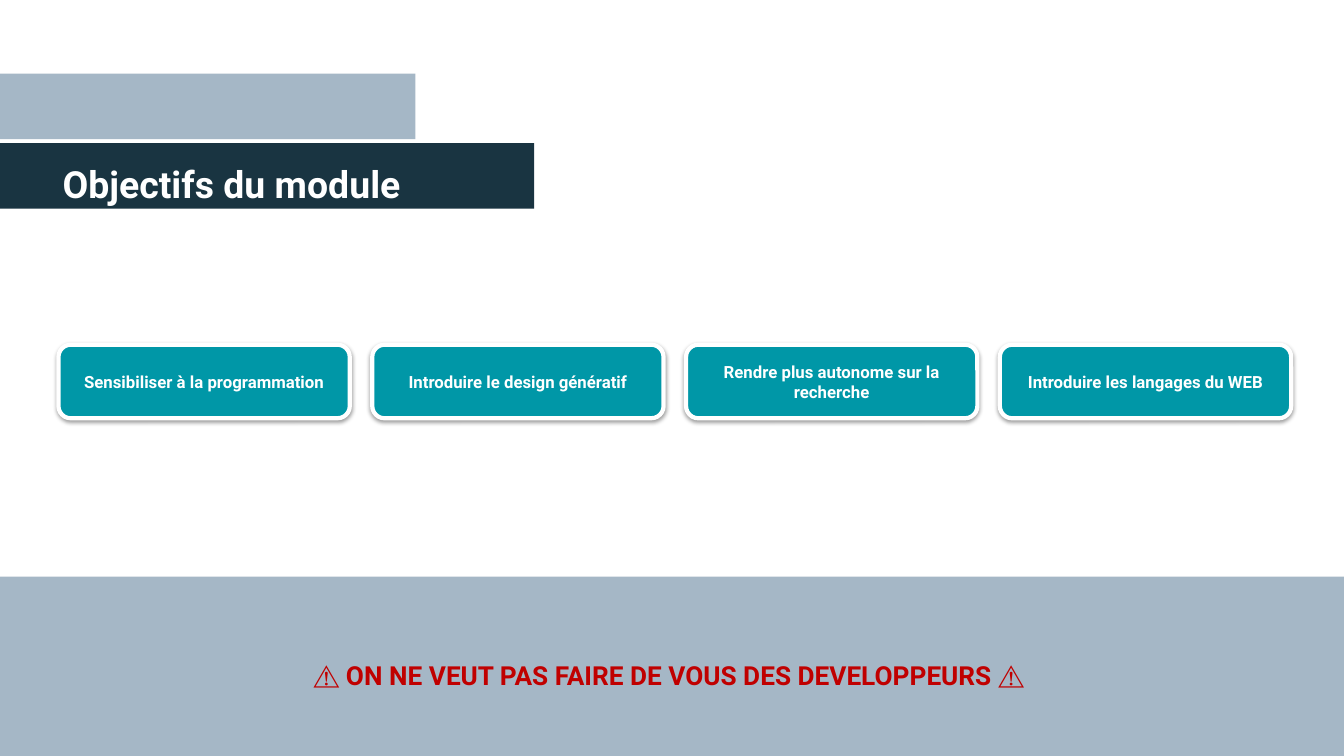
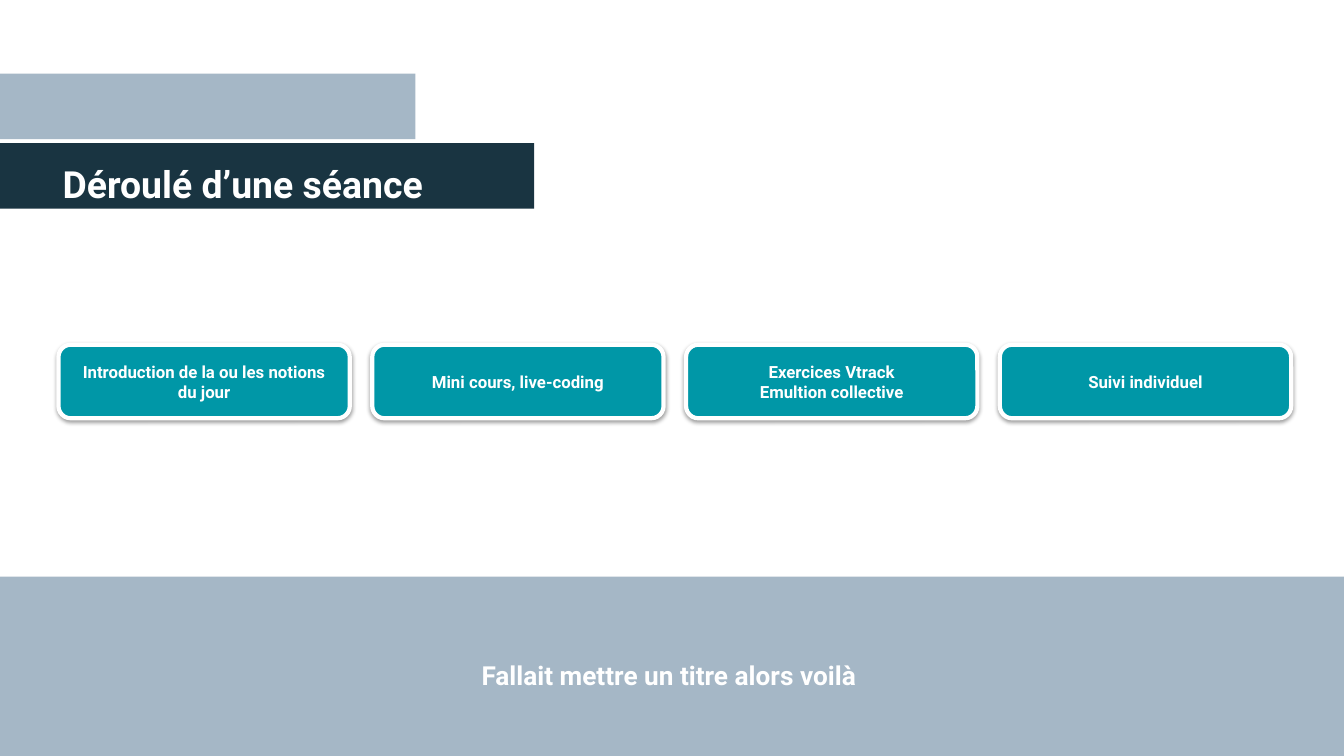
"""Build two course slides: module objectives and the course of a session."""
from lxml.etree import SubElement
from pptx import Presentation
from pptx.dml.color import RGBColor
from pptx.enum.shapes import MSO_SHAPE as Shape
from pptx.enum.text import MSO_ANCHOR as Anchor, MSO_AUTO_SIZE as AutoSize, PP_ALIGN as Align
from pptx.oxml.ns import qn
from pptx.util import Inches, Pt

COLORS = {"mist": "A5B7C6", "navy": "193441", "teal": "0097A7",
          "white": "FFFFFF", "red": "C00000", "black": "000000"}
FONT = "Roboto"
CARD_LEFT, CARD_TOP, CARD_WIDTH, CARD_HEIGHT, CARD_STEP = 0.58, 3.42, 2.89, 0.73, 3.113
BANDS = [(-0.07, 5.72, 13.41, 1.78, "mist"),
         (0, 0.73, 4.12, 0.65, "mist"),
         (0, 1.42, 5.3, 0.65, "navy")]
PAGES = [
    ("Objectifs du module",
     ["Sensibiliser à la programmation", "Introduire le design génératif",
      "Rendre plus autonome sur la recherche", "Introduire les langages du WEB"],
     "⚠️ ON NE VEUT PAS FAIRE DE VOUS DES DEVELOPPEURS ⚠️", "red"),
    ("Déroulé d’une séance",
     ["Introduction de la ou les notions du jour", "Mini cours, live-coding",
      "Exercices Vtrack\nEmultion collective", "Suivi individuel"],
     "Fallait mettre un titre alors voilà", "white"),
]


def add_box(slide, kind, left, top, width, height, color):
    box = slide.shapes.add_shape(kind, Inches(left), Inches(top), Inches(width), Inches(height))
    box.shadow.inherit = False
    box.fill.solid()
    box.fill.fore_color.rgb = RGBColor.from_string(COLORS[color])
    box.line.fill.background()
    return box


def write(shape, text, size, color, align, spacing=1.0):
    frame = shape.text_frame
    frame.text = text
    frame.word_wrap = True
    frame.auto_size = AutoSize.NONE
    frame.vertical_anchor = Anchor.MIDDLE
    for paragraph in frame.paragraphs:
        paragraph.alignment = align
        paragraph.line_spacing = spacing
        paragraph.space_before = Pt(0)
        paragraph.font.name = FONT
        paragraph.font.size = Pt(size)
        paragraph.font.bold = True
        paragraph.font.color.rgb = RGBColor.from_string(COLORS[color])


deck = Presentation()
deck.slide_width, deck.slide_height = Inches(13.333), Inches(7.5)
layout = deck.slide_layouts[0]
heading, closing = layout.placeholders[0], layout.placeholders[1]
for holder, area in ((heading, (0.52, 1.34, 6.14, 0.74)), (closing, (1.39, 6.37, 10.49, 0.66))):
    holder.left, holder.top, holder.width, holder.height = map(Inches, area)
    frame = holder.text_frame
    frame.margin_left = frame.margin_right = frame.margin_top = frame.margin_bottom = Inches(0.1)

slides = [deck.slides.add_slide(layout) for _ in PAGES]
for *area, color in BANDS:
    band = add_box(slides[0], Shape.RECTANGLE, *area, color)
    heading.element.addprevious(band.element)

for slide, (title, steps, message, message_color) in zip(slides, PAGES):
    write(slide.shapes.title, title, 26.7, "white", Align.LEFT, 1.5)
    write(slide.placeholders[1], message, 18.7, message_color, Align.CENTER)
    for column, step in enumerate(steps):
        card = add_box(slide, Shape.ROUNDED_RECTANGLE, CARD_LEFT + column * CARD_STEP,
                       CARD_TOP, CARD_WIDTH, CARD_HEIGHT, "teal")
        card.line.color.rgb = RGBColor.from_string(COLORS["white"])
        card.line.width = Pt(3)
        effects = card.element.spPr.find(qn("a:effectLst"))
        shadow = SubElement(effects, qn("a:outerShdw"), blurRad=str(Pt(3.1)), dist=str(Pt(1.6)),
                            dir="5400000", rotWithShape="0")
        tint = SubElement(shadow, qn("a:srgbClr"), val=COLORS["black"])
        SubElement(tint, qn("a:alpha"), val="38000")
        write(card, step, 12, "white", Align.CENTER)

deck.save("out.pptx")
